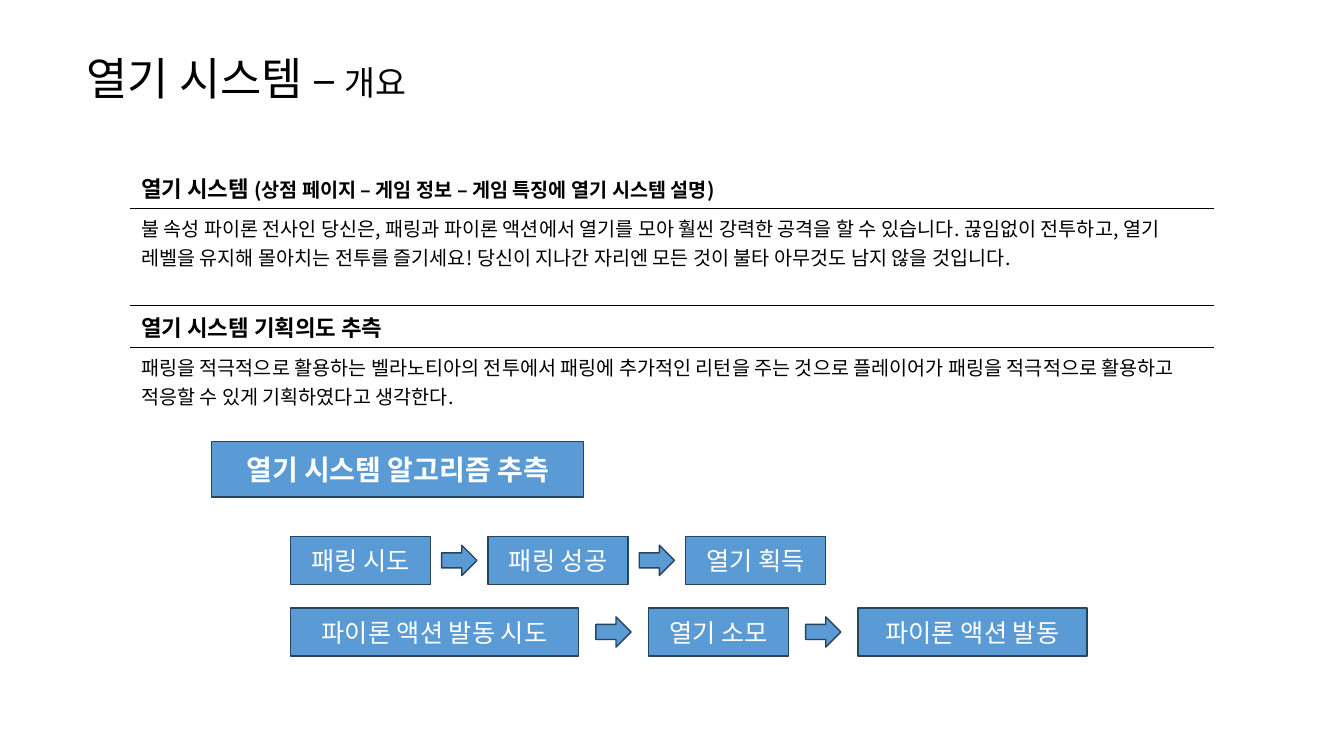
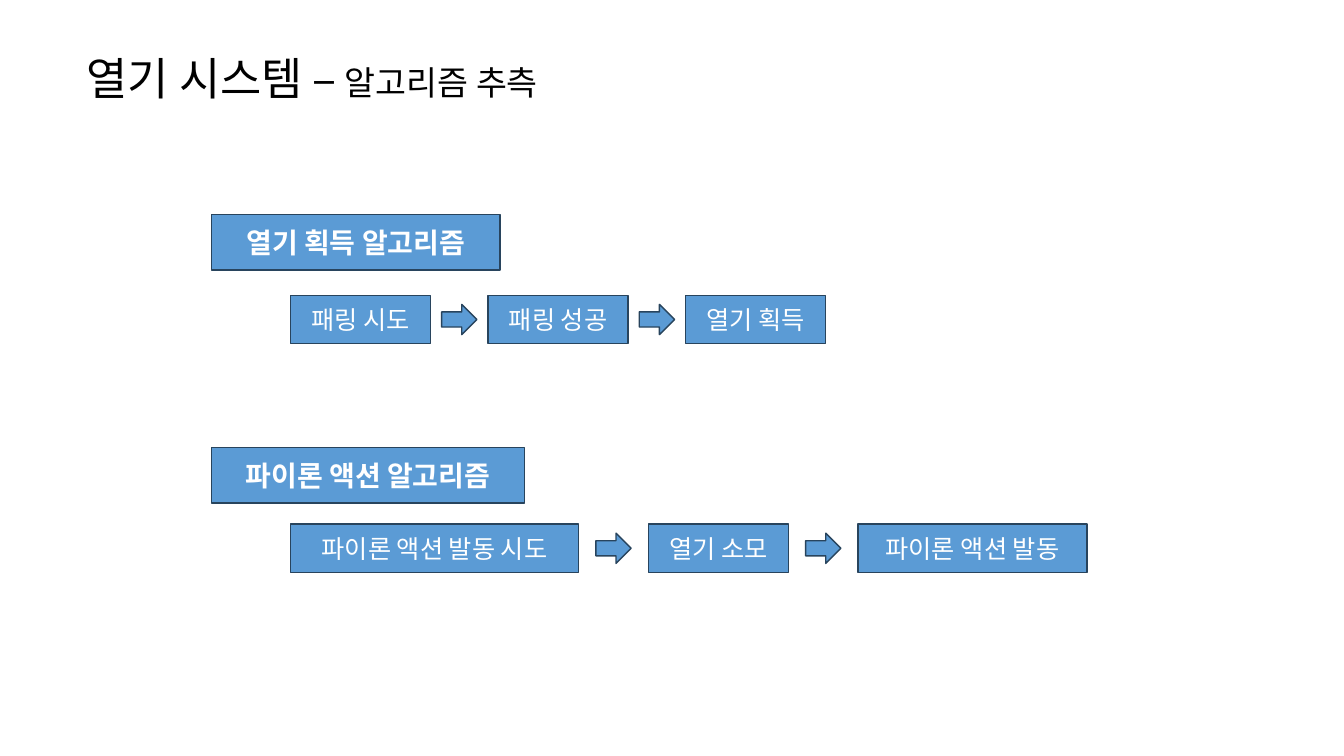
from pptx import Presentation
from pptx.dml.color import RGBColor
from pptx.enum import shapes, text
from pptx.oxml import ns, xmlchemy
from pptx.util import Inches, Pt

FONT = "Noto Sans CJK KR"
BLACK, WHITE, BLUE, NAVY = "000000", "FFFFFF", "5B9BD5", "28445D"
HEADING_X, FLOW_X = 2.1, 2.88
HEADING_H, STEP_H = 0.55, 0.48
ARROW_W, ARROW_H = 0.35, 0.3

# Each flow: gap between steps, then (label, width) of each step
GAIN_FLOW = (0.57, [("패링 시도", 1.39), ("패링 성공", 1.39), ("열기 획득", 1.39)])
ACTION_FLOW = (0.69, [("파이론 액션 발동 시도", 2.86), ("열기 소모", 1.39),
                      ("파이론 액션 발동", 2.27)])

# Each row: height, bold, runs as (text, size)
OVERVIEW_ROWS = [
    (0.41, True, [("열기 시스템 ", 16),
                  ("(상점 페이지 – 게임 정보 – 게임 특징에 열기 시스템 설명)", 14)]),
    (0.96, False, [("불 속성 파이론 전사인 당신은, 패링과 파이론 액션에서 열기를 모아 "
                    "훨씬 강력한 공격을 할 수 있습니다. 끊임없이 전투하고, 열기 레벨을 "
                    "유지해 몰아치는 전투를 즐기세요! 당신이 지나간 자리엔 모든 것이 "
                    "불타 아무것도 남지 않을 것입니다.", 14)]),
    (0.42, True, [("열기 시스템 기획의도 추측", 16)]),
    (0.67, False, [("패링을 적극적으로 활용하는 벨라노티아의 전투에서 패링에 추가적인 "
                    "리턴을 주는 것으로 플레이어가 패링을 적극적으로 활용하고 적응할 수 "
                    "있게 기획하였다고 생각한다.", 14)]),
]


def rgb(value):
    return RGBColor.from_string(value)


def add_run(p, content, size, color=BLACK, bold=False):
    r = p.add_run()
    r.text = content
    r.font.name = FONT
    r.font.size = Pt(size)
    r.font.bold = bold
    r.font.color.rgb = rgb(color)
    # Korean glyphs take the East Asian typeface
    ea = xmlchemy.OxmlElement("a:ea")
    ea.set("typeface", FONT)
    r.font._element.find(ns.qn("a:latin")).addnext(ea)


def add_slide(prs, subtitle):
    s = prs.slides.add_slide(prs.slide_layouts[5])
    title = s.shapes.title
    title.left, title.top = Inches(0.76), Inches(0.42)
    title.width, title.height = Inches(11.81), Inches(0.69)
    tf = title.text_frame
    tf.word_wrap = True
    tf.auto_size = text.MSO_AUTO_SIZE.NONE
    tf.vertical_anchor = text.MSO_ANCHOR.MIDDLE
    p = tf.paragraphs[0]
    p.alignment = text.PP_ALIGN.LEFT
    add_run(p, "열기 시스템 –", 32)
    add_run(p, " " + subtitle, 24)
    return s


def add_block(s, kind, x, y, w, h):
    sp = s.shapes.add_shape(kind, Inches(x), Inches(y), Inches(w), Inches(h))
    sp.shadow.inherit = False
    sp.fill.solid()
    sp.fill.fore_color.rgb = rgb(BLUE)
    sp.line.color.rgb = rgb(NAVY)
    sp.line.width = Pt(1)
    return sp


def add_box(s, label, x, y, w, h, size, bold=False):
    sp = add_block(s, shapes.MSO_SHAPE.RECTANGLE, x, y, w, h)
    tf = sp.text_frame
    tf.word_wrap = True
    tf.vertical_anchor = text.MSO_ANCHOR.MIDDLE
    p = tf.paragraphs[0]
    p.alignment = text.PP_ALIGN.CENTER
    add_run(p, label, size, WHITE, bold)


def add_heading(s, label, y, w):
    add_box(s, label, HEADING_X, y, w, HEADING_H, 20, bold=True)


def add_flow(s, flow, y):
    """Steps in a row, with an arrow centred in each gap."""
    gap, steps = flow
    x = FLOW_X
    for i, (label, w) in enumerate(steps):
        if i:
            add_block(s, shapes.MSO_SHAPE.RIGHT_ARROW, x - (gap + ARROW_W) / 2,
                      y + (STEP_H - ARROW_H) / 2, ARROW_W, ARROW_H)
        add_box(s, label, x, y, w, STEP_H, 18)
        x += w + gap


def add_border(cell, side):
    tc_pr = cell._tc.get_or_add_tcPr()
    ln = xmlchemy.OxmlElement("a:ln" + side)
    ln.set("w", str(Pt(1)))
    fill = xmlchemy.OxmlElement("a:solidFill")
    color = xmlchemy.OxmlElement("a:srgbClr")
    color.set("val", BLACK)
    fill.append(color)
    ln.append(fill)
    tc_pr.append(ln)


def add_overview_table(s):
    height = sum(row[0] for row in OVERVIEW_ROWS)
    frame = s.shapes.add_table(len(OVERVIEW_ROWS), 1, Inches(1.3), Inches(1.65),
                               Inches(10.73), Inches(height))
    table = frame.table
    table.first_row = table.horz_banding = False
    for i, (h, bold, runs) in enumerate(OVERVIEW_ROWS):
        table.rows[i].height = Inches(h)
        cell = table.cell(i, 0)
        # Rules only between rows
        if i > 0:
            add_border(cell, "T")
        if i < len(OVERVIEW_ROWS) - 1:
            add_border(cell, "B")
        cell.fill.background()
        for content, size in runs:
            add_run(cell.text_frame.paragraphs[0], content, size, bold=bold)


def main():
    prs = Presentation()
    prs.slide_width, prs.slide_height = Inches(13.33), Inches(7.5)

    # Overview
    s = add_slide(prs, "개요")
    add_overview_table(s)
    add_heading(s, "열기 시스템 알고리즘 추측", 4.38, 3.69)
    add_flow(s, GAIN_FLOW, 5.32)
    add_flow(s, ACTION_FLOW, 6.03)

    # Algorithms
    s = add_slide(prs, "알고리즘 추측")
    add_heading(s, "열기 획득 알고리즘", 2.13, 2.86)
    add_flow(s, GAIN_FLOW, 2.93)
    add_heading(s, "파이론 액션 알고리즘", 4.44, 3.1)
    add_flow(s, ACTION_FLOW, 5.2)

    prs.save("out.pptx")


if __name__ == "__main__":
    main()
